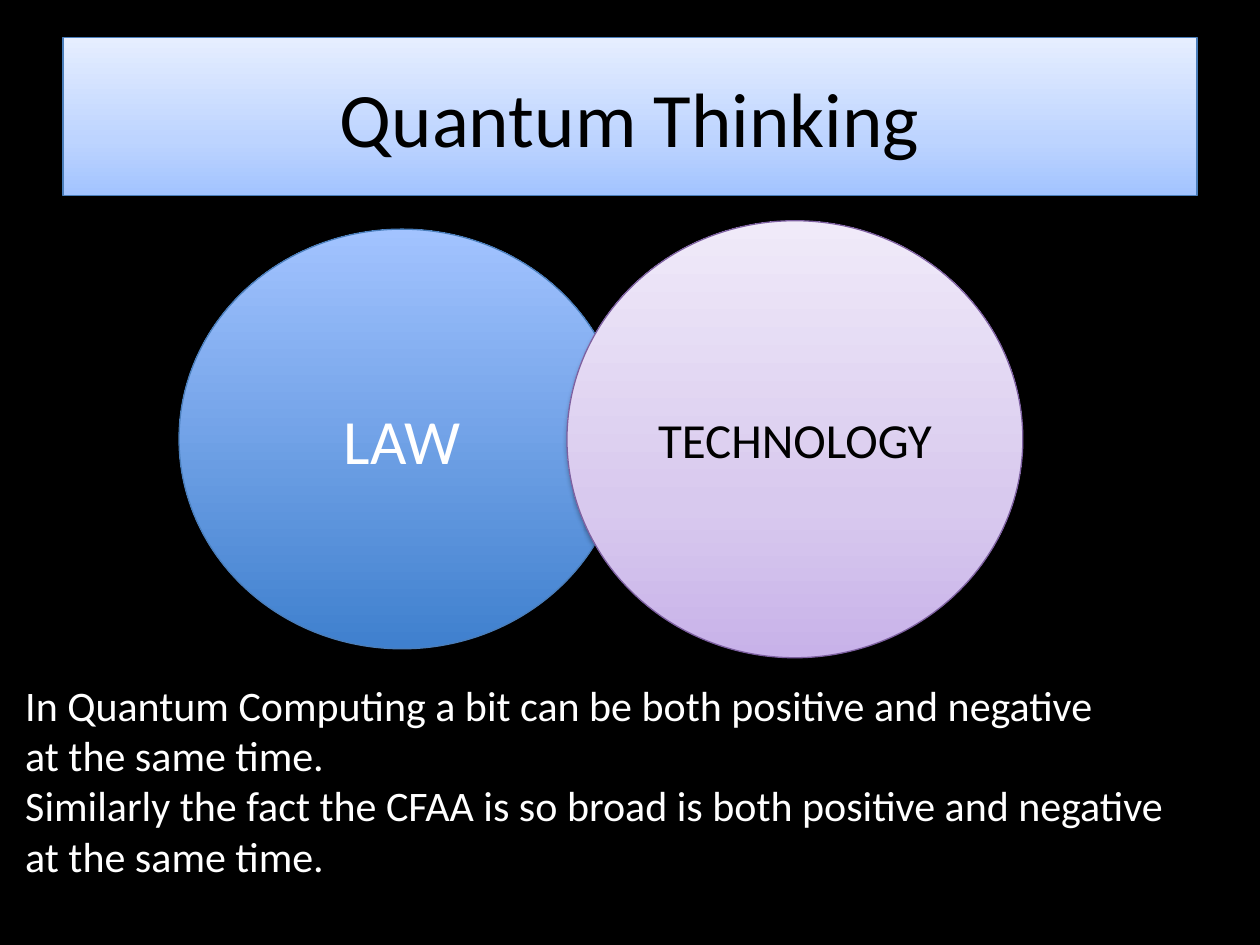
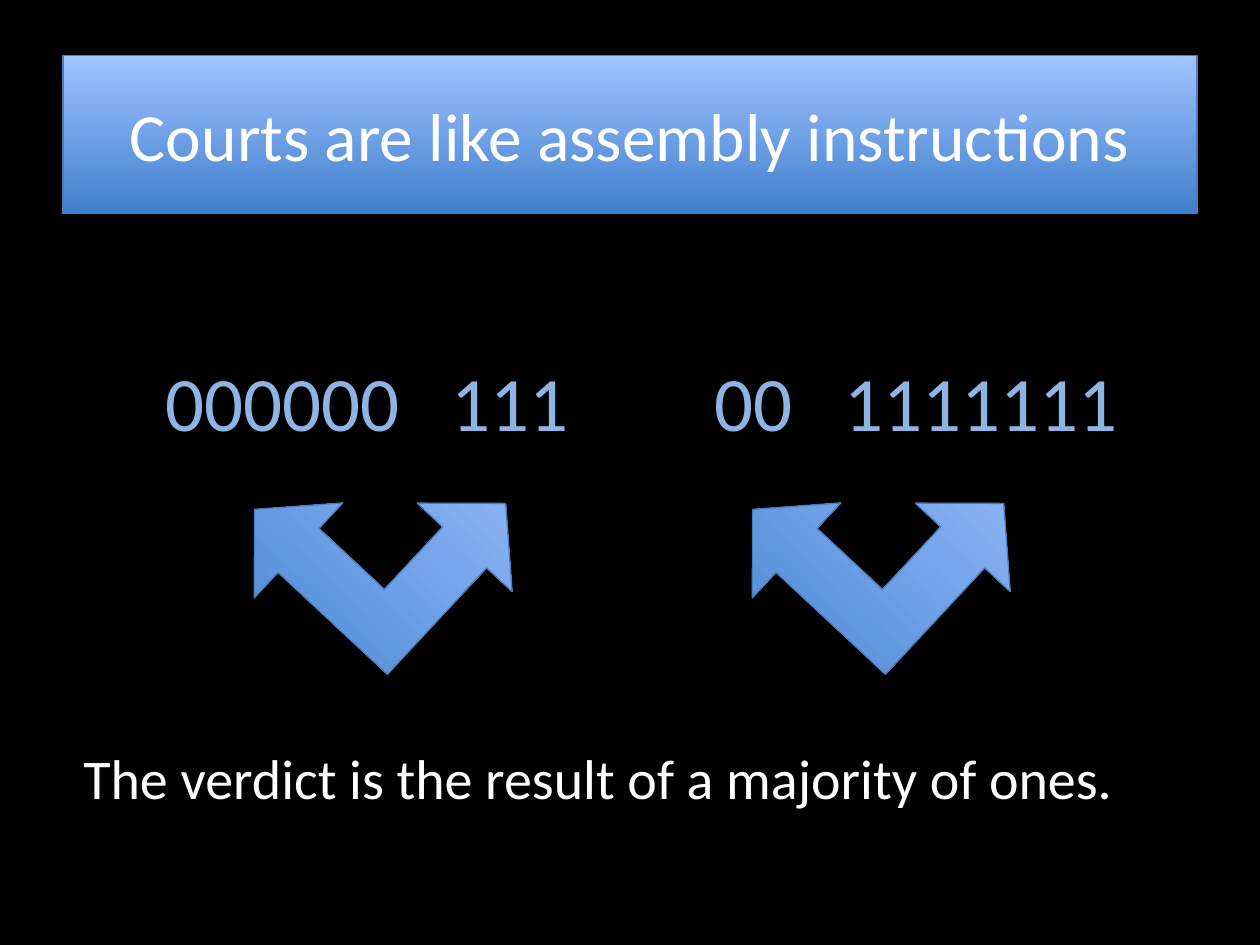
"""Build two dark slides on quantum thinking and the courts."""
from dataclasses import dataclass

import lxml.etree
import pptx
import pptx.dml.color
import pptx.enum.shapes
import pptx.enum.text
import pptx.oxml.ns
import pptx.util

Cm = pptx.util.Cm
SHAPES = pptx.enum.shapes.MSO_SHAPE
ALIGN = pptx.enum.text.PP_ALIGN
ANCHOR = pptx.enum.text.MSO_ANCHOR


@dataclass(frozen=True)
class Shadow:
    opacity: int
    blur: float
    distance: float


@dataclass(frozen=True)
class Finish:
    stops: tuple[tuple[int, str], ...]
    line: str
    shadow: Shadow
    text: str


@dataclass(frozen=True)
class Frame:
    left: float
    top: float
    width: float
    height: float

    def lengths(self) -> tuple[int, int, int, int]:
        return Cm(self.left), Cm(self.top), Cm(self.width), Cm(self.height)


@dataclass(frozen=True)
class Circle:
    frame: Frame
    label: str
    size: float
    finish: Finish


@dataclass(frozen=True)
class Bits:
    left: float
    text: str
    tab: float
    arrow_left: float


DEEP_BLUE = ((0, "3F80CE"), (100, "A2C3FF"))
BLUE_LINE = "4A7EBB"
SOFT_SHADOW = Shadow(38, 3, 1.6)
DEEP_SHADOW = Shadow(35, 3, 1.8)


@dataclass(frozen=True)
class Theme:
    font: str = "Calibri"
    background: str = "000000"
    text: str = "FFFFFF"
    bits: str = "8EB4E3"
    title_size: float = 44
    long_title_size: float = 38.6
    law_size: float = 36
    technology_size: float = 28
    note_size: float = 24
    verdict_size: float = 32
    bits_size: float = 44
    inset: float = 0.13
    deep: Finish = Finish(DEEP_BLUE, BLUE_LINE, DEEP_SHADOW, "FFFFFF")
    glow: Finish = Finish(DEEP_BLUE, BLUE_LINE, Shadow(43, 5, 0), "FFFFFF")
    pale: Finish = Finish(((0, "A2C3FF"), (35, "BDD4FF"), (100, "E6EEFF")),
                          BLUE_LINE, SOFT_SHADOW, "000000")
    lilac: Finish = Finish(((0, "C8B2E9"), (35, "D8C9EE"), (100, "F0EAF9")),
                           "7D60A0", SOFT_SHADOW, "000000")


THEME = Theme()
CIRCLES = (
    Circle(Frame(3.61, 4.62, 8.99, 8.46), "LAW", THEME.law_size, THEME.deep),
    Circle(Frame(11.43, 4.45, 9.19, 8.81), "TECHNOLOGY", THEME.technology_size, THEME.lilac),
)
NOTE = (
    "In Quantum Computing a bit can be both positive and negative\n"
    "at the same time.\n"
    "Similarly the fact the CFAA is so broad is both positive and negative\n"
    "at the same time."
)
BITS = (
    Bits(3.2, "000000\t111", 5.77, 5.23),
    Bits(14.27, "00\t1111111", 2.63, 15.27),
)


def rgb(value: str) -> pptx.dml.color.RGBColor:
    """Return a colour from its hex form."""
    return pptx.dml.color.RGBColor.from_string(value)


def add_element(parent, tag: str, **attributes):
    """Append a DrawingML element to its parent."""
    texts = {name: str(value) for name, value in attributes.items()}
    return lxml.etree.SubElement(parent, pptx.oxml.ns.qn(tag), texts)


def apply_finish(shape, finish: Finish) -> None:
    """Give a shape its vertical gradient, line and shadow."""
    shape.fill.gradient()
    shape.fill.gradient_angle = 90
    properties = shape._element.spPr
    stop_list = properties.find(".//" + pptx.oxml.ns.qn("a:gsLst"))
    for stop in list(stop_list):
        stop_list.remove(stop)
    for position, colour in finish.stops:
        stop = add_element(stop_list, "a:gs", pos=position * 1000)
        add_element(stop, "a:srgbClr", val=colour)
    shape.line.color.rgb = rgb(finish.line)
    shape.line.width = pptx.util.Pt(0.75)
    shape.shadow.inherit = False
    effects = properties.find(pptx.oxml.ns.qn("a:effectLst"))
    outer = add_element(effects, "a:outerShdw", blurRad=pptx.util.Pt(finish.shadow.blur),
                        dist=pptx.util.Pt(finish.shadow.distance), dir=5400000,
                        rotWithShape=0)
    colour = add_element(outer, "a:srgbClr", val="000000")
    add_element(colour, "a:alpha", val=finish.shadow.opacity * 1000)


def write(shape, text: str, size: float, colour: str, centred: bool = False) -> None:
    """Set and format the text of a shape."""
    frame = shape.text_frame
    frame.text = text
    frame.word_wrap = True
    frame.auto_size = pptx.enum.text.MSO_AUTO_SIZE.NONE
    frame.vertical_anchor = ANCHOR.MIDDLE if centred else ANCHOR.TOP
    frame.margin_left = frame.margin_right = Cm(THEME.inset)
    frame.margin_top = frame.margin_bottom = Cm(THEME.inset)
    for para in frame.paragraphs:
        para.alignment = ALIGN.CENTER if centred else ALIGN.LEFT
        for span in para.runs:
            span.font.name = THEME.font
            span.font.size = pptx.util.Pt(size)
            span.font.color.rgb = rgb(colour)


def add_page(deck, title: str, top: float, size: float, finish: Finish):
    """Add a page with a gradient title band."""
    page = deck.slides.add_slide(deck.slide_layouts[5])
    band = page.shapes.title
    band.left, band.top, band.width, band.height = Frame(1.27, top, 22.86, 3.18).lengths()
    apply_finish(band, finish)
    write(band, title, size, finish.text, centred=True)
    return page


def add_text(page, frame: Frame, text: str, size: float, colour: str = THEME.text):
    """Add a plain text box."""
    box = page.shapes.add_textbox(*frame.lengths())
    write(box, text, size, colour)
    return box


def add_circle(page, circle: Circle) -> None:
    """Add a labelled circle."""
    shape = page.shapes.add_shape(SHAPES.OVAL, *circle.frame.lengths())
    apply_finish(shape, circle.finish)
    write(shape, circle.label, circle.size, circle.finish.text, centred=True)


def add_bits(page, bits: Bits) -> None:
    """Add a row of zeros and ones, the ones set at a tab stop."""
    box = add_text(page, Frame(bits.left, 7.01, 9.02, 2.06), bits.text,
                   THEME.bits_size, THEME.bits)
    properties = box.text_frame.paragraphs[0]._p.get_or_add_pPr()
    tabs = add_element(properties, "a:tabLst")
    add_element(tabs, "a:tab", pos=Cm(bits.tab), algn="l")


def add_arrow(page, left: float) -> None:
    """Add a two-headed arrow turned to point up at both groups of bits."""
    arrow = page.shapes.add_shape(SHAPES.LEFT_UP_ARROW, *Frame(left, 8.71, 4.93, 4.85).lengths())
    arrow.rotation = 43
    for index, value in enumerate((0.25, 0.27, 0.25)):
        arrow.adjustments[index] = value
    apply_finish(arrow, THEME.glow)


def build_thinking(deck) -> None:
    """Build the page with the overlapping circles."""
    page = add_page(deck, "Quantum Thinking", 0.76, THEME.title_size, THEME.pale)
    for circle in CIRCLES:
        add_circle(page, circle)
    add_text(page, Frame(0.38, 13.56, 24.61, 5.18), NOTE, THEME.note_size)


def build_courts(deck) -> None:
    """Build the page with the bits and arrows."""
    page = add_page(deck, "Courts are like assembly instructions", 1.12,
                    THEME.long_title_size, THEME.deep)
    for bits in BITS:
        add_bits(page, bits)
    for bits in BITS:
        add_arrow(page, bits.arrow_left)
    add_text(page, Frame(1.55, 14.86, 23.83, 1.55),
             "The verdict is the result of a majority of ones.", THEME.verdict_size)


def main() -> None:
    """Build and save the deck."""
    deck = pptx.Presentation()
    deck.slide_width, deck.slide_height = Cm(25.4), Cm(19.05)
    background = deck.slide_master.background.fill
    background.solid()
    background.fore_color.rgb = rgb(THEME.background)
    build_thinking(deck)
    build_courts(deck)
    deck.save("out.pptx")


if __name__ == "__main__":
    main()
